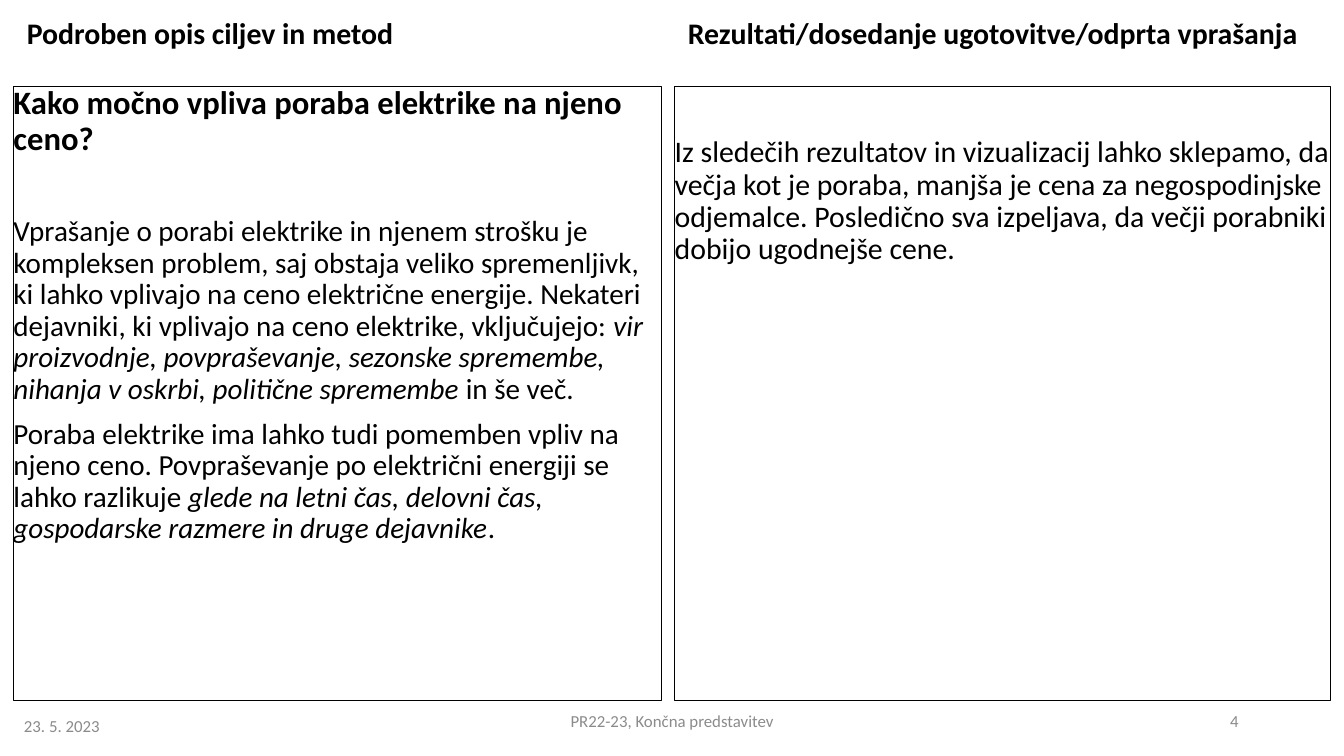
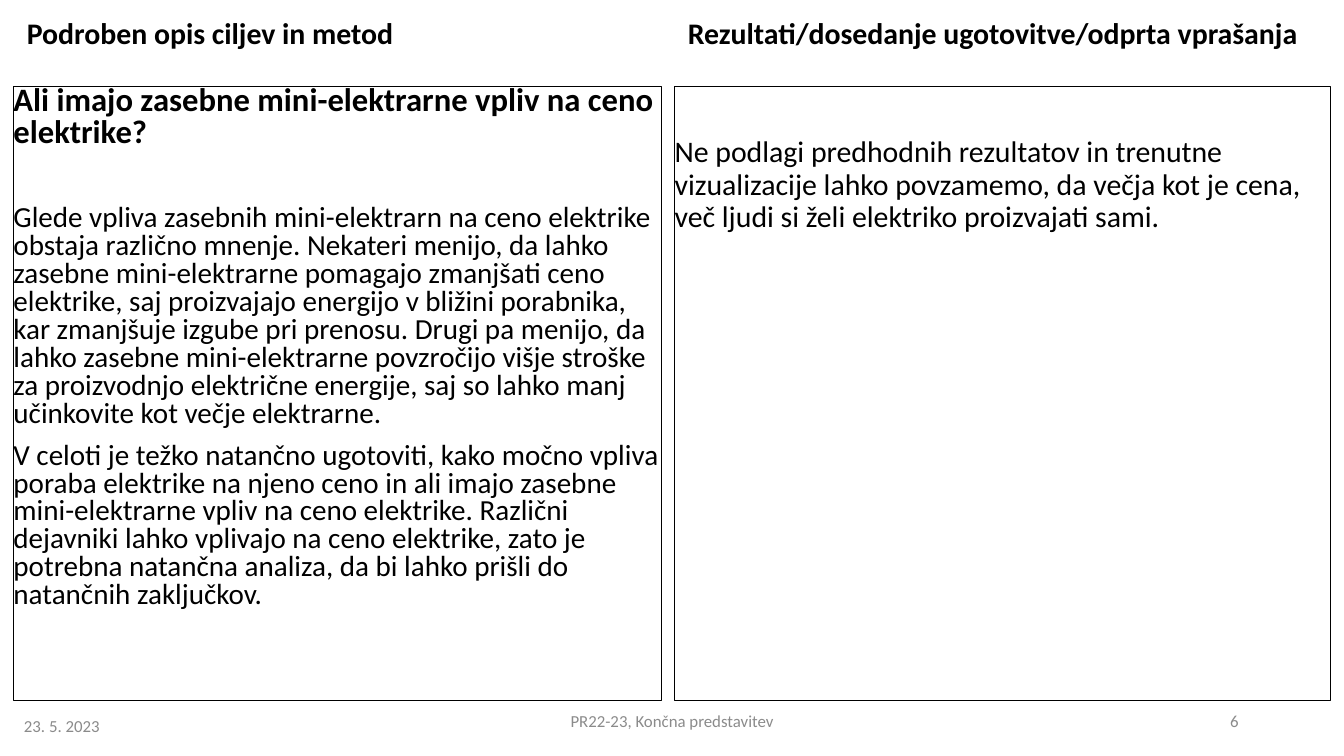
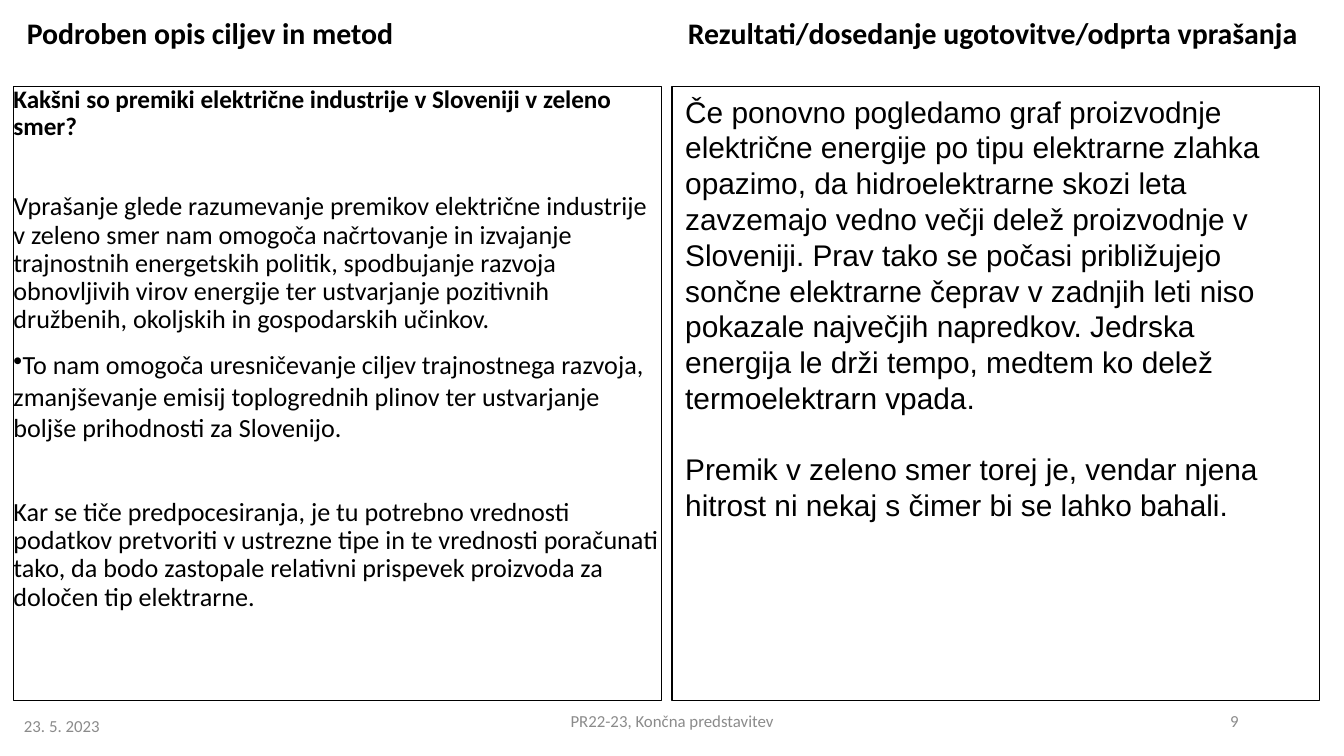
from dataclasses import dataclass
from pptx import Presentation
from pptx import util as u
from pptx.dml import color
from pptx.enum import shapes, text
from lxml import etree

PX = 4572
WIDE, HIGH = 2000, 1125
BLACK, GREY = "000000", "8B8B8B"
FACE = "Calibri"
NS = "http://schemas.openxmlformats.org/drawingml/2006/main"
LEFT, MID, RIGHT = text.PP_ALIGN.LEFT, text.PP_ALIGN.CENTER, text.PP_ALIGN.RIGHT


@dataclass(frozen=True)
class Box:
    x: int
    y: int
    w: int
    h: int


@dataclass(frozen=True)
class Para:
    words: str
    size: float
    before: float = 7.5
    lines: float = 0.9
    bold: bool = False
    dot: bool = False
    face: str = FACE
    tint: str = BLACK
    align: text.PP_ALIGN = LEFT


@dataclass(frozen=True)
class Pane:
    box: Box
    paras: tuple[Para, ...]
    side: int = 0
    top: int = 0


@dataclass(frozen=True)
class Page:
    number: str
    goals: Pane
    finds: Pane


HEAD_L = Box(20, 18, 964, 82)
HEAD_R = Box(1004, 18, 976, 82)
PANE_L = Box(20, 129, 964, 914)
PANE_R = Box(1004, 129, 976, 914)
PANE_ALT = Box(1000, 129, 964, 914)
DATE = Box(16, 1050, 822, 60)
FOOT = Box(663, 1043, 674, 60)
COUNT = Box(1413, 1043, 450, 60)

PAGES = (
    Page(
        "4",
        Pane(PANE_L, (
            Para("Kako močno vpliva poraba elektrike na njeno ceno?", 17.5, bold=True),
            Para("Vprašanje o porabi elektrike in njenem strošku je kompleksen problem, saj "
                 "obstaja veliko spremenljivk, ki lahko vplivajo na ceno električne energije. "
                 "Nekateri dejavniki, ki vplivajo na ceno elektrike, vključujejo: *vir "
                 "proizvodnje, povpraševanje, sezonske spremembe, nihanja v oskrbi, politične "
                 "spremembe *in še več.", 15.6, before=32),
            Para("Poraba elektrike ima lahko tudi pomemben vpliv na njeno ceno. Povpraševanje "
                 "po električni energiji se lahko razlikuje *glede na letni čas, delovni čas, "
                 "gospodarske razmere in druge dejavnike*.", 15.6),
        )),
        Pane(PANE_R, (
            Para("Iz sledečih rezultatov in vizualizacij lahko sklepamo, da večja kot je "
                 "poraba, manjša je cena za negospodinjske odjemalce. Posledično sva "
                 "izpeljava, da večji porabniki dobijo ugodnejše cene.", 16),
        ), top=75),
    ),
    Page(
        "6",
        Pane(PANE_L, (
            Para("Ali imajo zasebne mini-elektrarne vpliv na ceno elektrike?", 17.5,
                 lines=0.8, bold=True),
            Para("Glede vpliva zasebnih mini-elektrarn na ceno elektrike obstaja različno "
                 "mnenje. Nekateri menijo, da lahko zasebne mini-elektrarne pomagajo "
                 "zmanjšati ceno elektrike, saj proizvajajo energijo v bližini porabnika, kar "
                 "zmanjšuje izgube pri prenosu. Drugi pa menijo, da lahko zasebne "
                 "mini-elektrarne povzročijo višje stroške za proizvodnjo električne "
                 "energije, saj so lahko manj učinkovite kot večje elektrarne.", 15.6,
                 before=30, lines=0.8),
            Para("V celoti je težko natančno ugotoviti, kako močno vpliva poraba elektrike na "
                 "njeno ceno in ali imajo zasebne mini-elektrarne vpliv na ceno elektrike. "
                 "Različni dejavniki lahko vplivajo na ceno elektrike, zato je potrebna "
                 "natančna analiza, da bi lahko prišli do natančnih zaključkov.", 15.6,
                 lines=0.8),
        )),
        Pane(PANE_R, (
            Para("Ne podlagi predhodnih rezultatov in trenutne vizualizacije lahko povzamemo, "
                 "da večja kot je cena, več ljudi si želi elektriko proizvajati sami.", 16),
        ), top=75),
    ),
    Page(
        "9",
        Pane(PANE_L, (
            Para("Kakšni so premiki električne industrije v Sloveniji v zeleno smer?", 13.5,
                 bold=True),
            Para("Vprašanje glede razumevanje premikov električne industrije v zeleno smer "
                 "nam omogoča načrtovanje in izvajanje trajnostnih energetskih politik, "
                 "spodbujanje razvoja obnovljivih virov energije ter ustvarjanje pozitivnih "
                 "družbenih, okoljskih in gospodarskih učinkov.", 14, before=28),
            Para("To nam omogoča uresničevanje ciljev trajnostnega razvoja, zmanjševanje "
                 "emisij toplogrednih plinov ter ustvarjanje boljše prihodnosti za "
                 "Slovenijo.", 14, lines=1, dot=True),
            Para("Kar se tiče predpocesiranja, je tu potrebno vrednosti podatkov pretvoriti v "
                 "ustrezne tipe in te vrednosti poračunati tako, da bodo zastopale relativni "
                 "prispevek proizvoda za določen tip elektrarne.", 14, before=30),
        )),
        Pane(PANE_ALT, (
            Para("Če ponovno pogledamo graf proizvodnje električne energije po tipu elektrarne "
                 "zlahka opazimo, da hidroelektrarne skozi leta zavzemajo vedno večji delež "
                 "proizvodnje v Sloveniji. Prav tako se počasi približujejo sončne elektrarne "
                 "čeprav v zadnjih leti niso pokazale največjih napredkov. Jedrska energija le "
                 "drži tempo, medtem ko delež termoelektrarn vpada.", 16, before=0, lines=1,
                 face="Arial"),
            Para("Premik v zeleno smer torej je, vendar njena hitrost ni nekaj s čimer bi se "
                 "lahko bahali.", 16, before=19, lines=1, face="Arial"),
        ), side=20, top=10),
    ),
)


def paint(code: str) -> color.RGBColor:
    return color.RGBColor.from_string(code)


def place(box: Box) -> tuple[int, int, int, int]:
    return box.x * PX, box.y * PX, box.w * PX, box.h * PX


def mark(para, dot: bool) -> None:
    props = para._p.get_or_add_pPr()
    props.set("marL", "0")
    props.set("indent", "0")
    if dot:
        etree.SubElement(props, f"{{{NS}}}buChar").set("char", "•")
    else:
        etree.SubElement(props, f"{{{NS}}}buNone")


def write(frame, paras: tuple[Para, ...], side: int = 20, top: int = 10,
          anchor: text.MSO_ANCHOR = text.MSO_ANCHOR.TOP) -> None:
    frame.word_wrap = True
    frame.auto_size = text.MSO_AUTO_SIZE.NONE
    frame.vertical_anchor = anchor
    frame.margin_left = frame.margin_right = side * PX
    frame.margin_top = frame.margin_bottom = top * PX
    for i, item in enumerate(paras):
        para = frame.add_paragraph() if i else frame.paragraphs[0]
        para.alignment = item.align
        para.line_spacing = item.lines
        para.space_before = u.Pt(item.before)
        mark(para, item.dot)
        font = para.font
        font.name, font.size, font.bold = item.face, u.Pt(item.size), item.bold
        font.color.rgb = paint(item.tint)
        for j, part in enumerate(item.words.split("*")):
            run = para.add_run()
            run.text = part
            if j % 2:
                run.font.italic = True


def draw_pane(slide, pane: Pane) -> None:
    shape = slide.shapes.add_shape(shapes.MSO_SHAPE.RECTANGLE, *place(pane.box))
    shape.shadow.inherit = False
    shape.fill.background()
    shape.line.color.rgb = paint(BLACK)
    shape.line.width = u.Pt(0)
    write(shape.text_frame, pane.paras, pane.side, pane.top)


def draw_heads(slide) -> None:
    title = slide.shapes.title
    title.left, title.top, title.width, title.height = place(HEAD_L)
    other = slide.shapes.add_textbox(*place(HEAD_R))
    for shape, words in ((title, "Podroben opis ciljev in metod"),
                         (other, "Rezultati/dosedanje ugotovitve/odprta vprašanja")):
        write(shape.text_frame, (Para(words, 16, bold=True),))


def draw_foot(slide, number: str) -> None:
    for box, words, align in ((DATE, "23. 5. 2023", LEFT),
                              (FOOT, "PR22-23, Končna predstavitev", MID),
                              (COUNT, number, RIGHT)):
        shape = slide.shapes.add_textbox(*place(box))
        note = Para(words, 9, before=0, lines=1, tint=GREY, align=align)
        write(shape.text_frame, (note,), anchor=text.MSO_ANCHOR.MIDDLE)


def main() -> None:
    deck = Presentation()
    deck.slide_width, deck.slide_height = WIDE * PX, HIGH * PX
    for page in PAGES:
        slide = deck.slides.add_slide(deck.slide_layouts[5])
        draw_pane(slide, page.goals)
        draw_pane(slide, page.finds)
        draw_heads(slide)
        draw_foot(slide, page.number)
    deck.save("out.pptx")


if __name__ == "__main__":
    main()
